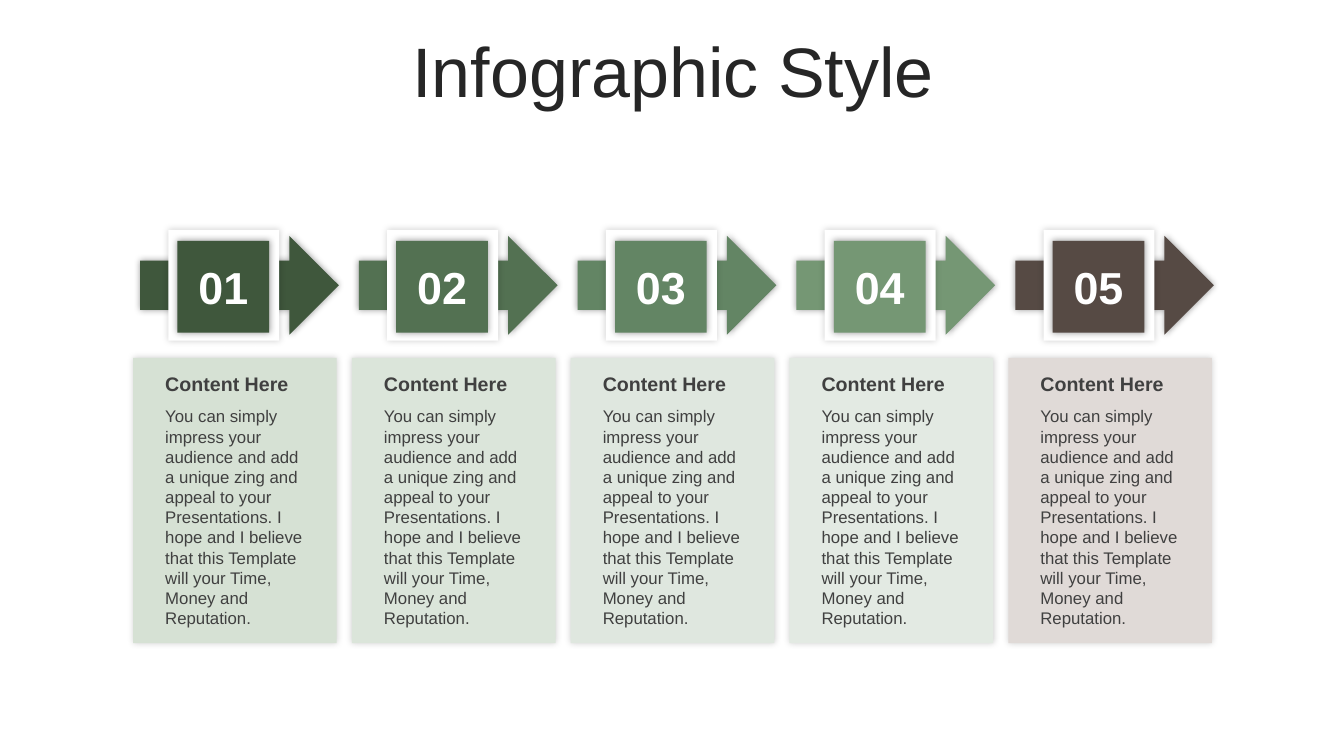
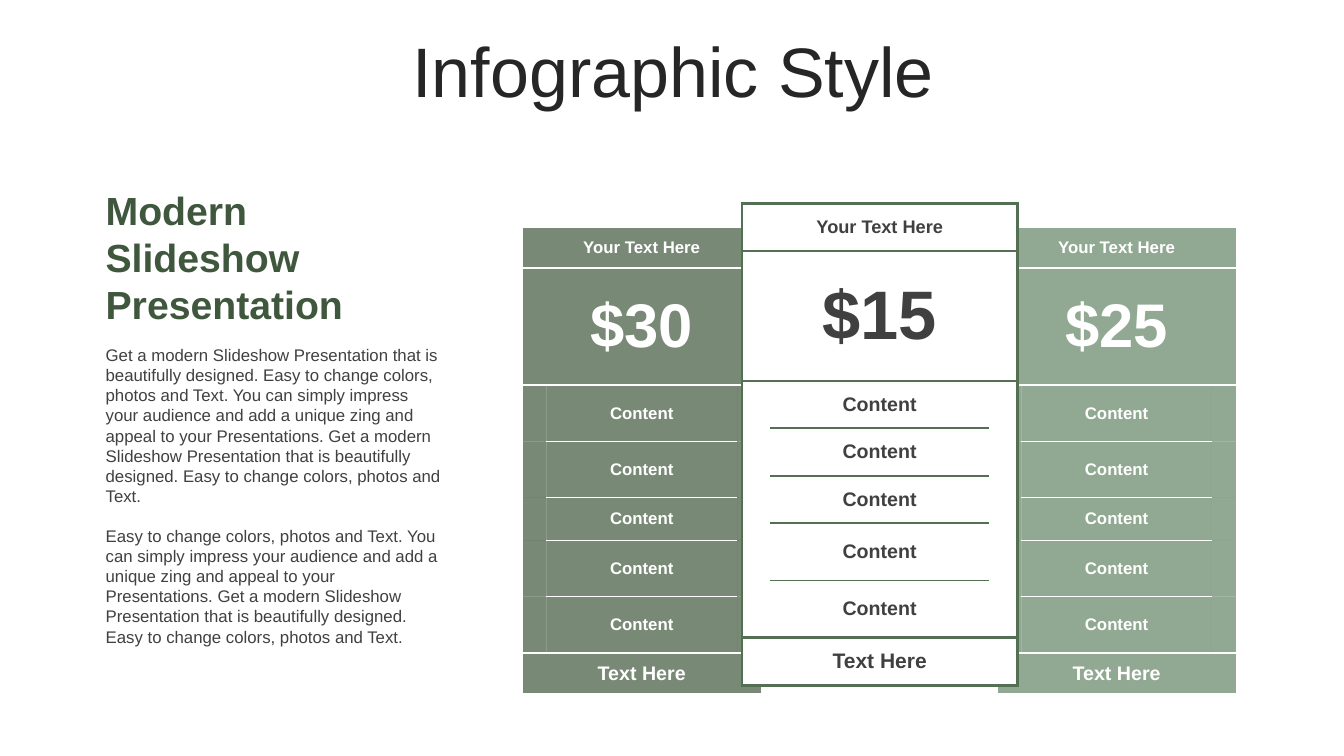
from lxml import etree
from pptx import Presentation
from pptx.dml.color import RGBColor
from pptx.enum.shapes import MSO_SHAPE
from pptx.enum.text import MSO_ANCHOR, MSO_AUTO_SIZE, PP_ALIGN
from pptx.oxml.ns import qn
from pptx.util import Inches, Pt

RECTANGLE, ARROW = MSO_SHAPE.RECTANGLE, MSO_SHAPE.RIGHT_ARROW
MIDDLE, TOP = MSO_ANCHOR.MIDDLE, MSO_ANCHOR.TOP
CENTER, LEFT = PP_ALIGN.CENTER, PP_ALIGN.LEFT
FONT = "Arial"
TITLE_ONLY = 5

COLORS = {
    "white": "FFFFFF", "title": "262626", "text": "404040", "shadow": "000000",
    "forest": "3F573C", "moss": "537152", "fern": "638564", "sage": "759774",
    "brown": "564A44", "forest_tint": "D6E1D4", "moss_tint": "DBE5DA",
    "fern_tint": "DFE7DF", "sage_tint": "E3EAE3", "brown_tint": "E0DAD7",
}

# Content
TITLE = "Infographic Style"
STEP_COLORS = ["forest", "moss", "fern", "sage", "brown"]
STEP_HEADING = "Content Here"
STEP_TEXT = ("You can simply impress your audience and add a unique zing and appeal "
             "to your Presentations. I hope and I believe that this Template will "
             "your Time, Money and Reputation.")
INTRO_HEADING = "Modern Slideshow Presentation"
INTRO_TEXT = [
    "Get a modern Slideshow Presentation that is beautifully designed. Easy to "
    "change colors, photos and Text. You can simply impress your audience and add "
    "a unique zing and appeal to your Presentations. Get a modern Slideshow "
    "Presentation that is beautifully designed. Easy to change colors, photos and "
    "Text.",
    "Easy to change colors, photos and Text. You can simply impress your audience "
    "and add a unique zing and appeal to your Presentations. Get a modern Slideshow "
    "Presentation that is beautifully designed. Easy to change colors, photos and "
    "Text.",
]
PLAN_HEADER, PLAN_ITEM, PLAN_FOOTER, ITEM_COUNT = "Your Text Here", "Content", "Text Here", 5

# Sizes run header, price, item, footer; rules run outer, below price, between items
SIDE_PLAN = {
    "top": 2.25, "columns": [0.25, 1.89, 0.25], "alpha": 70, "margins": (0.1, 0.05),
    "rows": [0.41, 1.16, 0.56, 0.56, 0.42, 0.56, 0.56, 0.41],
    "sizes": (12, 44, 12, 14), "ink": "white", "line": "white", "rules": (2.25, 1.5, 1),
}
MAIN_PLAN = {
    "top": 2.02, "columns": [0.28, 2.17, 0.28], "alpha": 100, "margins": (0.11, 0.06),
    "rows": [0.47, 1.29, 0.47, 0.47, 0.47, 0.57, 0.57, 0.47],
    "sizes": (13, 49, 14, 15), "ink": "text", "line": "moss", "rules": (2.25, 2.25, 1.5),
}
PLANS = [
    {**SIDE_PLAN, "left": 5.17, "price": "$30", "fill": "forest"},
    {**SIDE_PLAN, "left": 9.88, "price": "$25", "fill": "fern"},
    {**MAIN_PLAN, "left": 7.36, "price": "$15", "fill": "white"},
]

# Step grid
STEP_LEFT, STEP_PITCH = 1.32, 2.17


def rgb(name):
    return RGBColor.from_string(COLORS[name])


def format_text(text_frame, size, color, bold=False, align=LEFT):
    for paragraph in text_frame.paragraphs:
        paragraph.alignment = align
        for run in paragraph.runs:
            font = run.font
            font.name, font.size, font.bold = FONT, Pt(size), bold
            font.color.rgb = rgb(color)


def add_text(slide, box, text, size, color, bold=False):
    text_frame = slide.shapes.add_textbox(*map(Inches, box)).text_frame
    text_frame.word_wrap = True
    text_frame.vertical_anchor = TOP
    text_frame.text = text
    format_text(text_frame, size, color, bold)
    return text_frame


def add_block(slide, kind, box, color, shadow_alpha):
    """Add a borderless shape with a soft glow-like shadow."""
    shape = slide.shapes.add_shape(kind, *map(Inches, box))
    shape.fill.solid()
    shape.fill.fore_color.rgb = rgb(color)
    shape.line.fill.background()
    shape.shadow.inherit = False
    effects = shape.element.spPr.find(qn("a:effectLst"))
    shadow = etree.SubElement(effects, qn("a:outerShdw"), blurRad=str(Pt(5)),
                              dist="0", dir="0", algn="ctr", rotWithShape="0")
    shade = etree.SubElement(shadow, qn("a:srgbClr"), val=COLORS["shadow"])
    etree.SubElement(shade, qn("a:alpha"), val=str(shadow_alpha * 1000))
    return shape


def add_titled_slide(presentation):
    slide = presentation.slides.add_slide(presentation.slide_layouts[TITLE_ONLY])
    title = slide.shapes.title
    title.left, title.top, title.width, title.height = map(Inches, (0.35, 0.37, 12.66, 0.79))
    text_frame = title.text_frame
    text_frame.text = TITLE
    text_frame.auto_size = MSO_AUTO_SIZE.NONE
    text_frame.vertical_anchor = MIDDLE
    format_text(text_frame, 50, "title", align=CENTER)
    text_frame.paragraphs[0].line_spacing = 0.8
    return slide


def add_step(slide, index, color):
    left = STEP_LEFT + index * STEP_PITCH
    # Numbered arrow
    add_block(slide, ARROW, (left + 0.07, 2.34, 1.97, 0.98), color, 40)
    add_block(slide, RECTANGLE, (left + 0.35, 2.28, 1.1, 1.1), "white", 18)
    tile = add_block(slide, RECTANGLE, (left + 0.44, 2.39, 0.91, 0.91), color, 40)
    tile.text_frame.text = f"{index + 1:02d}"
    tile.text_frame.vertical_anchor = MIDDLE
    format_text(tile.text_frame, 32, "white", True, CENTER)
    # Card
    add_block(slide, RECTANGLE, (left, 3.55, 2.02, 2.83), color + "_tint", 18)
    add_text(slide, (left + 0.22, 3.64, 1.58, 0.34), STEP_HEADING, 14, "text", True)
    add_text(slide, (left + 0.22, 3.98, 1.58, 2.32), STEP_TEXT, 12, "text")


def set_borders(cell, color, widths):
    """Set left, right, top and bottom lines; a width of 0 means no line."""
    properties = cell._tc.get_or_add_tcPr()
    for position, (side, width) in enumerate(zip("LRTB", widths)):
        line = etree.Element(qn(f"a:ln{side}"), w=str(Pt(width)))
        if width:
            fill = etree.SubElement(line, qn("a:solidFill"))
            etree.SubElement(fill, qn("a:srgbClr"), val=COLORS[color])
        else:
            etree.SubElement(line, qn("a:noFill"))
        properties.insert(position, line)


def fill_cell(cell, color, alpha):
    cell.fill.solid()
    cell.fill.fore_color.rgb = rgb(color)
    if alpha < 100:
        shade = cell._tc.tcPr.find(f".//{qn('a:srgbClr')}")
        etree.SubElement(shade, qn("a:alpha"), val=str(alpha * 1000))


def add_plan(slide, plan):
    columns, rows = plan["columns"], plan["rows"]
    box = plan["left"], plan["top"], sum(columns), sum(rows)
    table = slide.shapes.add_table(len(rows), len(columns), *map(Inches, box)).table
    table.first_row = table.horz_banding = False
    for column, width in zip(table.columns, columns):
        column.width = Inches(width)
    for row, height in zip(table.rows, rows):
        row.height = Inches(height)

    header_size, price_size, item_size, footer_size = plan["sizes"]
    lines = [(PLAN_HEADER, header_size), (plan["price"], price_size),
             *[(PLAN_ITEM, item_size)] * ITEM_COUNT, (PLAN_FOOTER, footer_size)]
    outer, below_price, between = plan["rules"]
    item_rules = [between] * (ITEM_COUNT - 1)
    full_rules = [outer, outer, below_price, *[0] * len(item_rules), outer, outer]
    middle_rules = [outer, outer, below_price, *item_rules, outer, outer]
    side, end = map(Inches, plan["margins"])

    for row, (text, size) in enumerate(lines):
        merged = text != PLAN_ITEM
        if merged:
            table.cell(row, 0).merge(table.cell(row, 2))
        for column in range(len(columns)):
            cell = table.cell(row, column)
            fill_cell(cell, plan["fill"], plan["alpha"])
            rules = middle_rules if column == 1 else full_rules
            set_borders(cell, plan["line"], (
                outer if merged or column == 0 else 0,
                outer if merged or column == 2 else 0,
                rules[row], rules[row + 1]))
        cell = table.cell(row, 0 if merged else 1)
        cell.margin_left = cell.margin_right = side
        cell.margin_top = cell.margin_bottom = end
        cell.vertical_anchor = MIDDLE
        cell.text_frame.text = text
        format_text(cell.text_frame, size, plan["ink"], True, CENTER)


def main():
    presentation = Presentation()
    presentation.slide_width, presentation.slide_height = Inches(13.33), Inches(7.5)

    # Five steps
    slide = add_titled_slide(presentation)
    for index, color in enumerate(STEP_COLORS):
        add_step(slide, index, color)

    # Price plans
    slide = add_titled_slide(presentation)
    add_text(slide, (0.95, 1.8, 3.23, 1.51), INTRO_HEADING, 28, "forest", True)
    for plan in PLANS:
        add_plan(slide, plan)
    intro = add_text(slide, (0.95, 3.37, 3.56, 3.13), "\n".join(INTRO_TEXT), 12, "text")
    intro.paragraphs[1].space_before = Pt(14)

    presentation.save("out.pptx")


if __name__ == "__main__":
    main()
